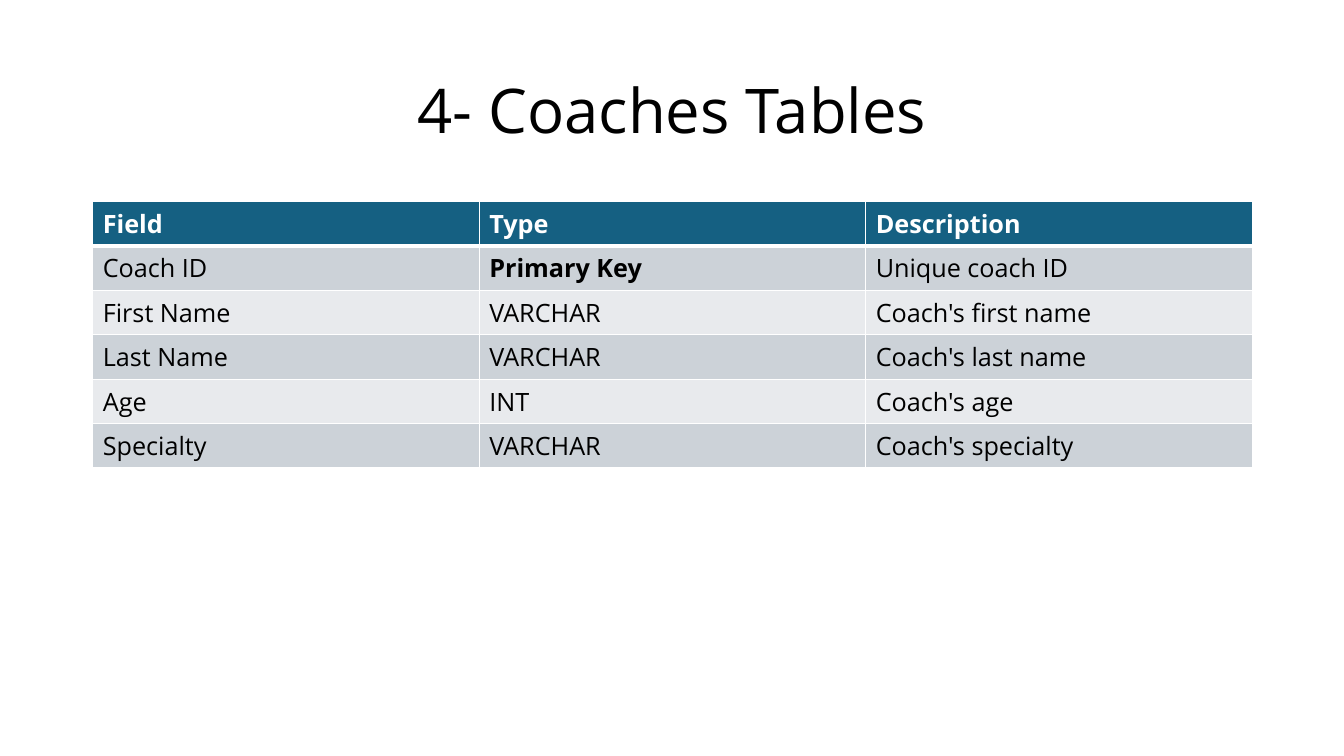
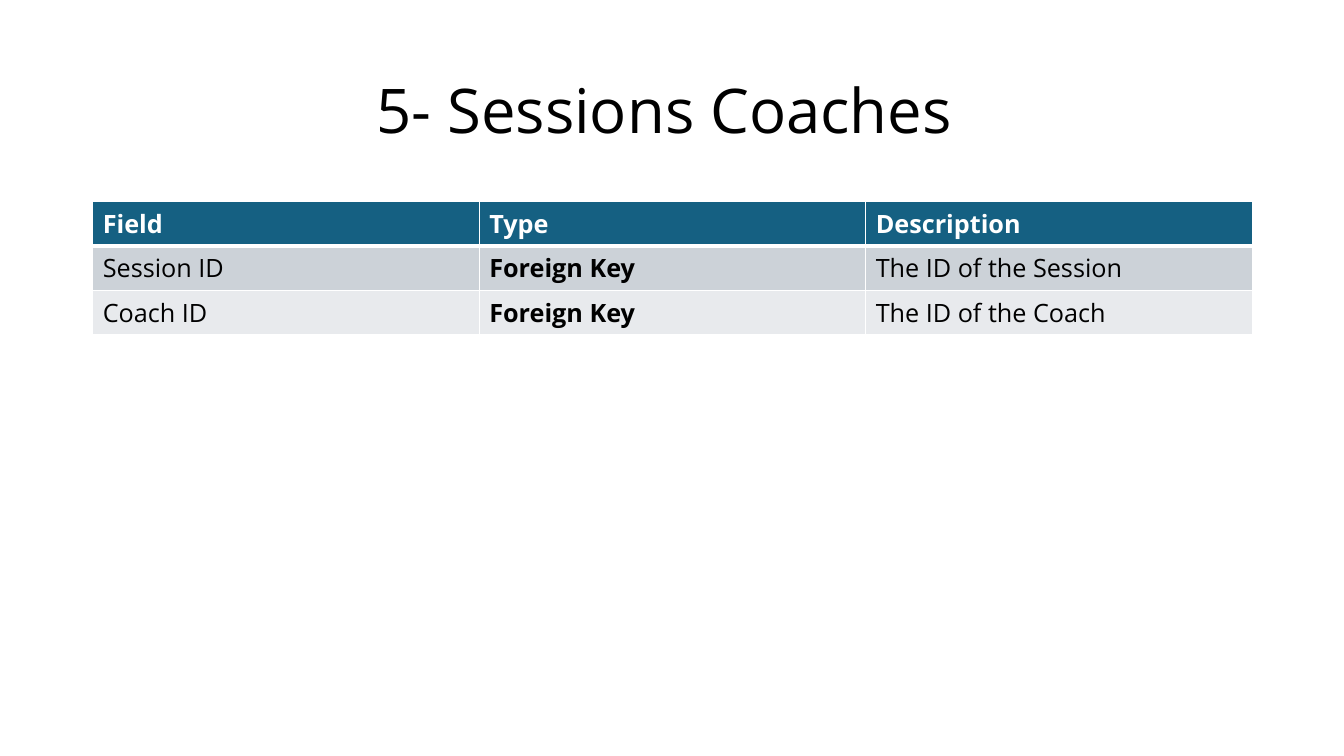
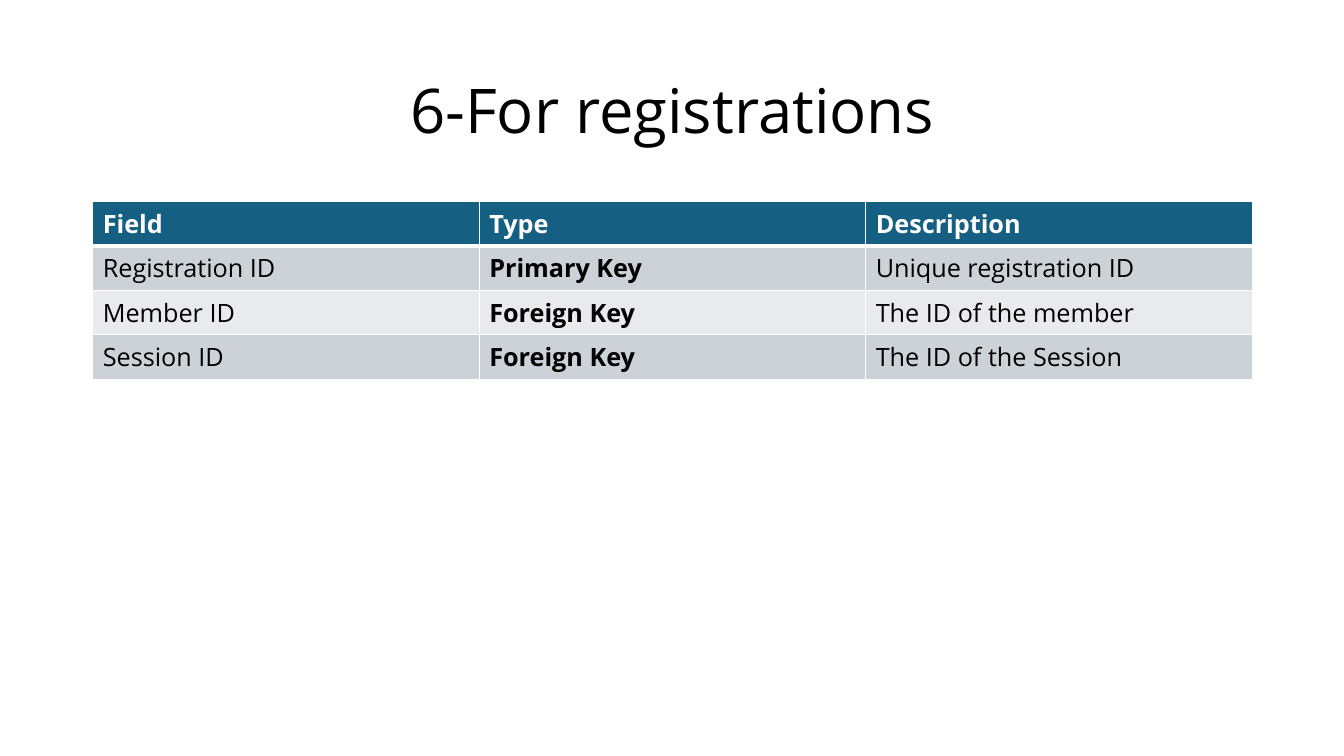
from lxml.etree import SubElement
from pptx import Presentation
from pptx.dml.color import RGBColor
from pptx.enum.text import MSO_ANCHOR, MSO_AUTO_SIZE, PP_ALIGN
from pptx.oxml.ns import qn
from pptx.util import Inches, Pt

FONT = "Open Sans"
WHITE, BLACK = "FFFFFF", "000000"
HEADER_FILL = "156082"
BAND_FILLS = ("CCD2D8", "E8EAED")
LEFT, WIDTH = 0.92, 11.5
TITLE_TOP, TITLE_HEIGHT = 0.4, 1.45
TABLE_TOP, ROW_HEIGHT = 2, 0.41
THIN, THICK = 1, 3

HEADER = ("Field", "Type", "Description")
SLIDES = [
    ("4- Coaches Tables", [
        ("Coach ID", "Primary Key", "Unique coach ID"),
        ("First Name", "VARCHAR", "Coach's first name"),
        ("Last Name", "VARCHAR", "Coach's last name"),
        ("Age", "INT", "Coach's age"),
        ("Specialty", "VARCHAR", "Coach's specialty"),
    ]),
    ("5- Sessions Coaches ", [
        ("Session ID", "Foreign Key", "The ID of the Session"),
        ("Coach ID", "Foreign Key", "The ID of the Coach"),
    ]),
    ("6-For registrations", [
        ("Registration ID", "Primary Key", "Unique registration ID"),
        ("Member ID", "Foreign Key", "The ID of the member"),
        ("Session ID", "Foreign Key", "The ID of the Session"),
    ]),
]


def color(value):
    return RGBColor.from_string(value)


def style_paragraph(para, size, text_color, bold=False):
    para.font.name = FONT
    para.font.size = Pt(size)
    para.font.bold = bold
    para.font.color.rgb = color(text_color)


def add_title(page, text):
    title = page.shapes.title
    title.left, title.top = Inches(LEFT), Inches(TITLE_TOP)
    title.width, title.height = Inches(WIDTH), Inches(TITLE_HEIGHT)
    frame = title.text_frame
    frame.text = text
    frame.auto_size = MSO_AUTO_SIZE.NONE
    frame.vertical_anchor = MSO_ANCHOR.MIDDLE
    para = frame.paragraphs[0]
    para.alignment = PP_ALIGN.CENTER
    para.line_spacing = 0.9
    style_paragraph(para, 44, BLACK)


def set_borders(cell, top, bottom):
    properties = cell._tc.get_or_add_tcPr()
    for side, width in (("L", THIN), ("R", THIN), ("T", top), ("B", bottom)):
        line = SubElement(properties, qn(f"a:ln{side}"), w=str(Pt(width)))
        fill = SubElement(line, qn("a:solidFill"))
        SubElement(fill, qn("a:srgbClr"), val=WHITE)


def add_field_table(page, fields):
    rows = [HEADER, *fields]
    table = page.shapes.add_table(
        len(rows), len(HEADER), Inches(LEFT), Inches(TABLE_TOP),
        Inches(WIDTH), Inches(ROW_HEIGHT * len(rows))).table
    for row_index, row in enumerate(rows):
        is_header = row_index == 0
        row_fill = HEADER_FILL if is_header else BAND_FILLS[(row_index - 1) % 2]
        for column_index, text in enumerate(row):
            cell = table.cell(row_index, column_index)
            cell.text = text
            style_paragraph(cell.text_frame.paragraphs[0], 18,
                            WHITE if is_header else BLACK,
                            is_header or text.endswith("Key"))
            set_borders(cell, THICK if row_index == 1 else THIN,
                        THICK if is_header else THIN)
            cell.fill.solid()
            cell.fill.fore_color.rgb = color(row_fill)


def main():
    deck = Presentation()
    deck.slide_width, deck.slide_height = Inches(13.33), Inches(7.5)
    title_only = deck.slide_layouts[5]
    for title, fields in SLIDES:
        page = deck.slides.add_slide(title_only)
        add_title(page, title)
        add_field_table(page, fields)
    deck.save("out.pptx")


if __name__ == "__main__":
    main()
